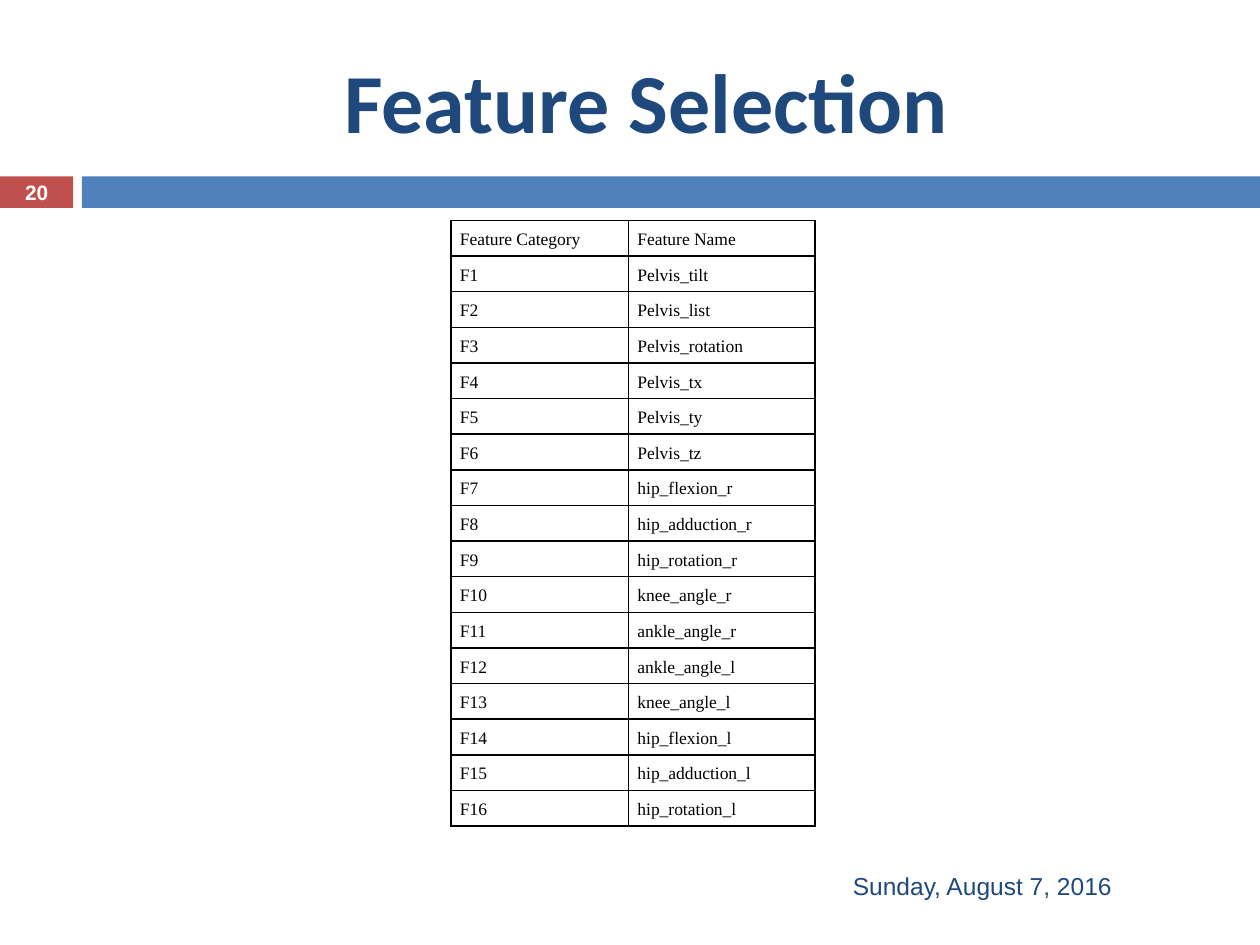
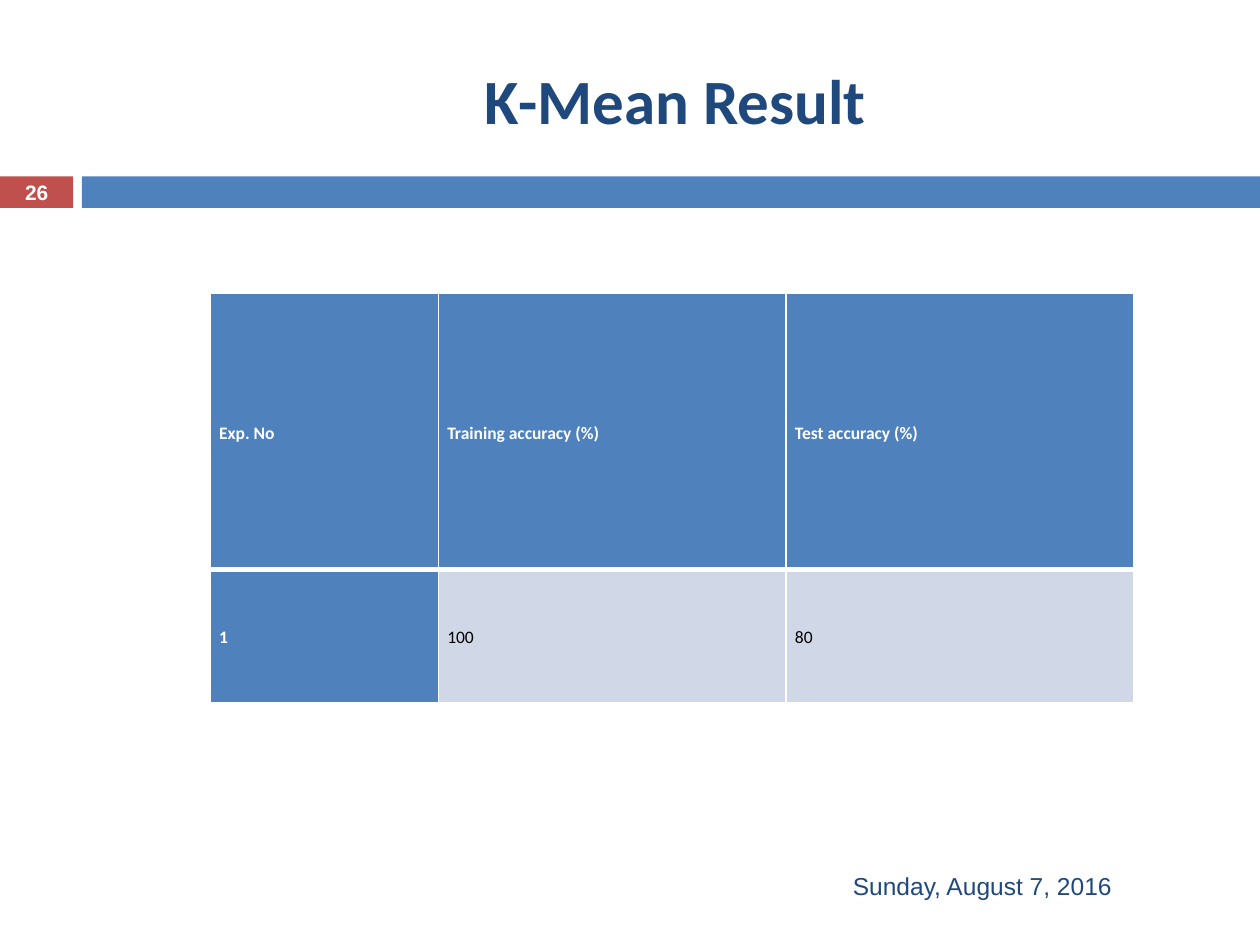
from lxml import etree
from pptx import Presentation
from pptx.dml.color import RGBColor
from pptx.enum.shapes import MSO_SHAPE
from pptx.enum.text import MSO_ANCHOR, PP_ALIGN
from pptx.oxml.ns import qn
from pptx.util import Inches, Pt

RECTANGLE = MSO_SHAPE.RECTANGLE
TOP, MIDDLE = MSO_ANCHOR.TOP, MSO_ANCHOR.MIDDLE
LEFT, CENTER, JUSTIFY = PP_ALIGN.LEFT, PP_ALIGN.CENTER, PP_ALIGN.JUSTIFY

NAVY = RGBColor(0x1F, 0x49, 0x7D)
BLUE = RGBColor(0x4F, 0x81, 0xBD)
PALE_BLUE = RGBColor(0xD0, 0xD8, 0xE8)
RED = RGBColor(0xC0, 0x50, 0x4D)
WHITE = RGBColor(0xFF, 0xFF, 0xFF)
BLACK = RGBColor(0x00, 0x00, 0x00)
GRID_BLACK = RGBColor(0x00, 0x00, 0x01)

DATE = "Sunday, August 7, 2016"
BAND_TOP, BAND_HEIGHT = 1.4, 0.25
NUMBER_WIDTH, BAND_LEFT = 0.58, 0.65

FEATURE_NAMES = [
    "Pelvis_tilt", "Pelvis_list", "Pelvis_rotation", "Pelvis_tx", "Pelvis_ty", "Pelvis_tz",
    "hip_flexion_r", "hip_adduction_r", "hip_rotation_r", "knee_angle_r", "ankle_angle_r",
    "ankle_angle_l", "knee_angle_l", "hip_flexion_l", "hip_adduction_l", "hip_rotation_l",
]
FEATURE_ROWS = [("Feature Category", "Feature Name")] + [
    (f"F{number}", name) for number, name in enumerate(FEATURE_NAMES, 1)
]
RESULT_ROWS = [("Exp. No", "Training accuracy (%)", "Test accuracy (%)"), ("1", "100", "80")]


def style_font(paragraph, name, size, color, bold=False):
    for run in paragraph.runs:
        run.font.name = name
        run.font.size = Pt(size)
        run.font.bold = bold
        run.font.color.rgb = color


def add_text(slide, box, text, name, size, color, bold=False, align=LEFT):
    shape = slide.shapes.add_textbox(*map(Inches, box))
    frame = shape.text_frame
    frame.word_wrap = True
    frame.vertical_anchor = MIDDLE
    frame.text = text
    paragraph = frame.paragraphs[0]
    paragraph.alignment = align
    style_font(paragraph, name, size, color, bold)
    return shape


def add_band(slide, left, width, color):
    band = slide.shapes.add_shape(
        RECTANGLE, Inches(left), Inches(BAND_TOP), Inches(width), Inches(BAND_HEIGHT))
    band.shadow.inherit = False
    band.fill.solid()
    band.fill.fore_color.rgb = color
    band.line.fill.background()


def add_base_slide(presentation, title, title_box, title_size, title_align, number):
    slide = presentation.slides.add_slide(presentation.slide_layouts[6])
    add_band(slide, 0, NUMBER_WIDTH, RED)
    add_band(slide, BAND_LEFT, 10 - BAND_LEFT, BLUE)
    add_text(slide, title_box, title, "Calibri", title_size, NAVY, True, title_align)
    add_text(slide, (6.67, 6.83, 2.92, 0.4), DATE, "Arial", 14, NAVY)
    number_box = (0, BAND_TOP - 0.01, NUMBER_WIDTH, BAND_HEIGHT + 0.02)
    add_text(slide, number_box, str(number), "Arial", 11.9, WHITE, True, CENTER)
    return slide


def set_borders(cell, color, top=1, bottom=1):
    properties = cell._tc.get_or_add_tcPr()
    sides = (("a:lnL", 1), ("a:lnR", 1), ("a:lnT", top), ("a:lnB", bottom))
    for index, (tag, width) in enumerate(sides):
        line = etree.Element(qn(tag), w=str(Pt(width)))
        fill = etree.SubElement(line, qn("a:solidFill"))
        etree.SubElement(fill, qn("a:srgbClr"), val=str(color))
        properties.insert(index, line)


def add_table(slide, left, top, rows, column_widths, row_heights):
    table = slide.shapes.add_table(
        len(rows), len(column_widths), Inches(left), Inches(top),
        Inches(sum(column_widths)), Inches(sum(row_heights))).table
    for column, width in zip(table.columns, column_widths):
        column.width = Inches(width)
    for row, height, texts in zip(table.rows, row_heights, rows):
        row.height = Inches(height)
        for cell, text in zip(row.cells, texts):
            cell.text_frame.text = text
            cell.margin_left = cell.margin_right = Inches(0.07)
            cell.margin_top = cell.margin_bottom = 0
    return table


def fill_cell(cell, color, anchor):
    cell.fill.solid()
    cell.fill.fore_color.rgb = color
    cell.vertical_anchor = anchor


def add_feature_table(slide, left, top):
    heights = [4.81 / len(FEATURE_ROWS)] * len(FEATURE_ROWS)
    table = add_table(slide, left, top, FEATURE_ROWS, (1.41, 1.48), heights)
    for cell in table.iter_cells():
        fill_cell(cell, WHITE, TOP)
        set_borders(cell, GRID_BLACK)
        paragraph = cell.text_frame.paragraphs[0]
        paragraph.alignment = JUSTIFY
        paragraph.line_spacing = 1.5
        style_font(paragraph, "Times New Roman", 10, BLACK)


def add_result_table(slide, left, top):
    table = add_table(slide, left, top, RESULT_ROWS, (1.81, 2.76, 2.76), (2.19, 1.06))
    table.first_col = True
    for row_index, row in enumerate(table.rows):
        for column_index, cell in enumerate(row.cells):
            is_heading = row_index == 0 or column_index == 0
            fill_cell(cell, BLUE if is_heading else PALE_BLUE, MIDDLE)
            if row_index == 0:
                set_borders(cell, WHITE, bottom=3)
            else:
                set_borders(cell, WHITE, top=3)
            paragraph = cell.text_frame.paragraphs[0]
            paragraph.line_spacing = 1.15
            paragraph.space_after = Pt(10)
            style_font(paragraph, "Calibri", 10, WHITE if is_heading else BLACK, is_heading)


def main():
    presentation = Presentation()
    presentation.slide_width = Inches(10)
    presentation.slide_height = Inches(7.5)

    feature_slide = add_base_slide(
        presentation, "Feature Selection", (0.67, 0.25, 8.92, 1.08), 48, CENTER, 20)
    add_feature_table(feature_slide, 3.58, 1.75)

    result_slide = add_base_slide(
        presentation, "K-Mean Result", (3.75, 0.25, 3.5, 1.08), 36, LEFT, 26)
    add_result_table(result_slide, 1.67, 2.33)

    presentation.save("out.pptx")


if __name__ == "__main__":
    main()
